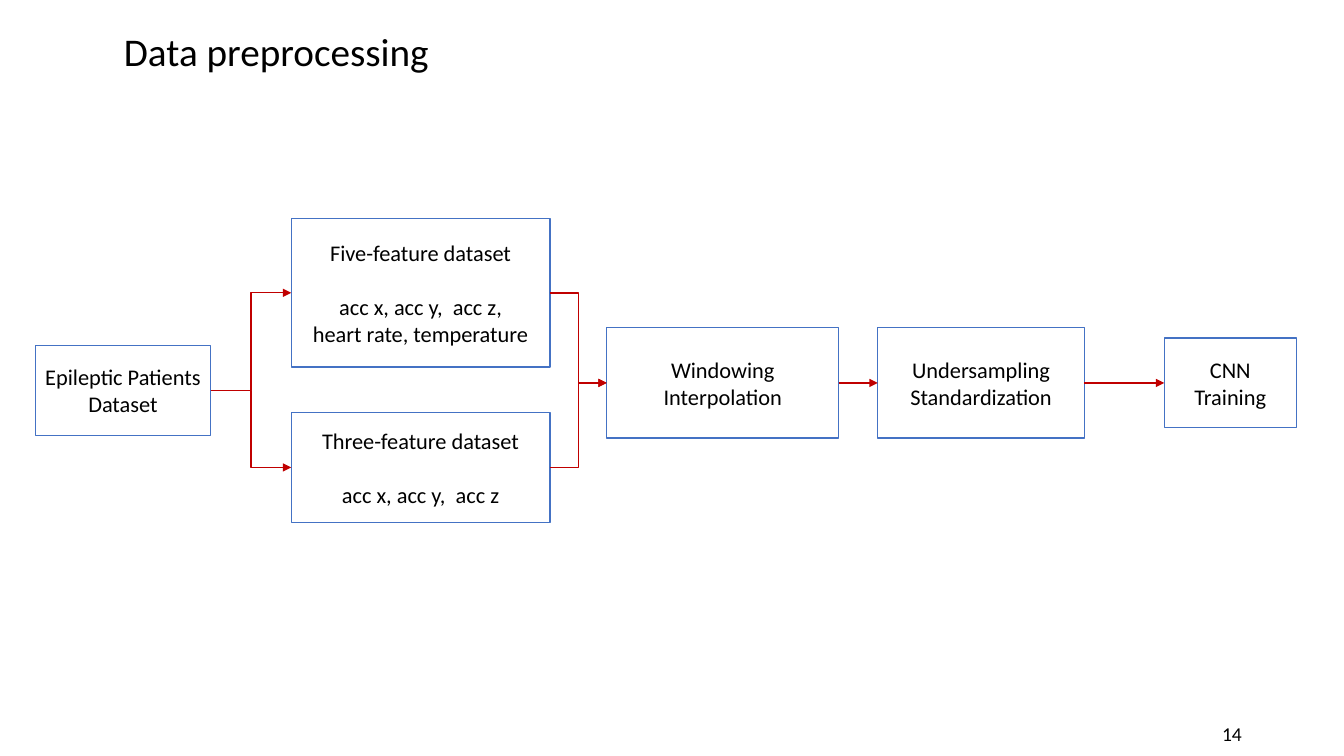
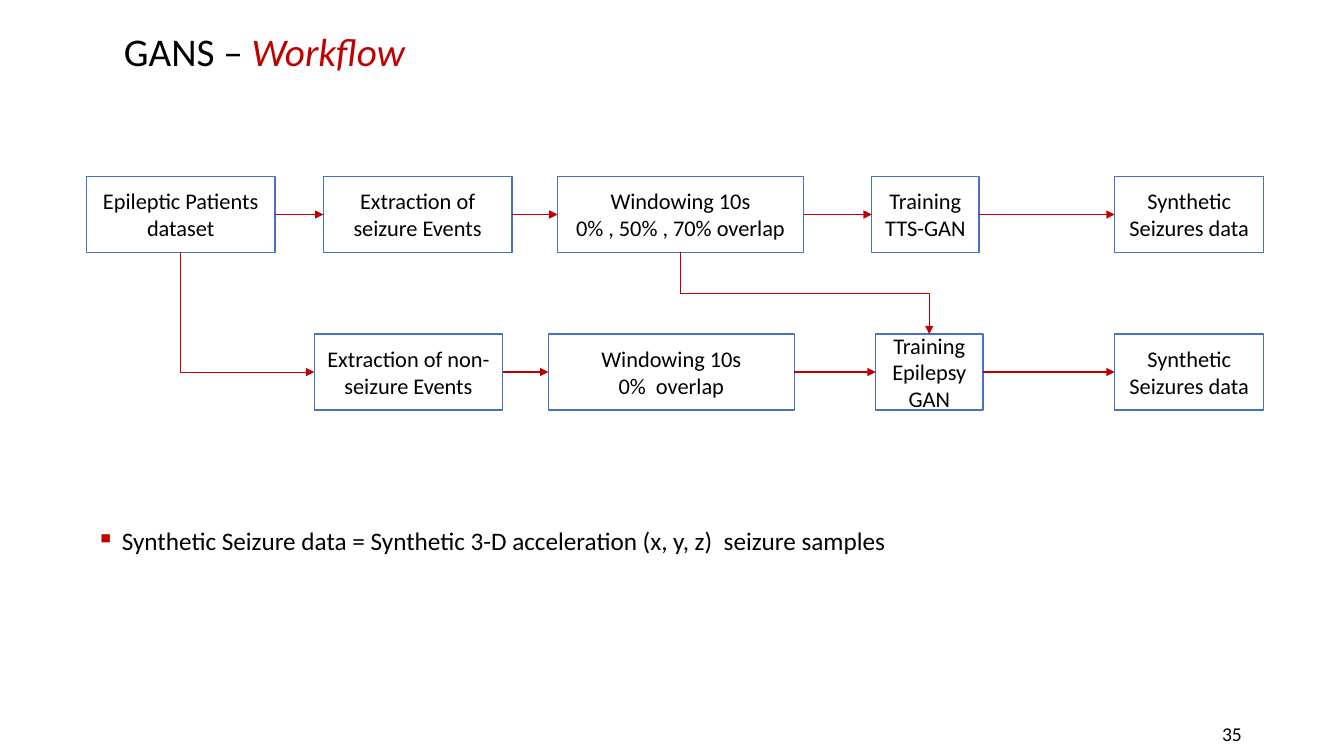
from lxml.etree import SubElement
from pptx import Presentation
from pptx.dml.color import RGBColor
from pptx.enum.shapes import MSO_CONNECTOR as Route, MSO_SHAPE as Preset
from pptx.enum.text import MSO_ANCHOR as Anchor, MSO_AUTO_SIZE as AutoSize, PP_ALIGN as Align
from pptx.oxml.ns import qn
from pptx.util import Cm, Pt

FONT = "Calibri"
BLACK, WHITE, BLUE, RED = "000000", "FFFFFF", "4472C4", "C00000"
TOP, LEFT, BOTTOM, RIGHT = range(4)  # connection sites of a rectangle
color = RGBColor.from_string


def write(frame, text, size, align, anchor=Anchor.MIDDLE):
    """Fill a text frame and give all its runs the deck's font."""
    frame.text = text
    frame.word_wrap = True
    frame.auto_size = AutoSize.NONE
    frame.vertical_anchor = anchor
    for para in frame.paragraphs:
        para.alignment = align
        for span in para.runs:
            span.font.name = FONT
            span.font.size = Pt(size)
            span.font.color.rgb = color(BLACK)


def link(page, start, start_side, end, end_side, kind="line"):
    """Glue a red arrow between two boxes; corner and step leave vertically."""
    route = Route.STRAIGHT if kind == "line" else Route.ELBOW
    arrow = page.shapes.add_connector(route, 0, 0, 0, 0)
    arrow.begin_connect(start, start_side)
    arrow.end_connect(end, end_side)
    arrow.line.color.rgb = color(RED)
    arrow.line.width = Pt(1)
    properties = arrow._element.spPr
    SubElement(arrow.line._get_or_add_ln(), qn("a:tailEnd"), type="triangle")
    SubElement(properties, qn("a:effectLst"))
    if kind in ("corner", "step"):
        arrow.line.width = Pt(0.5)
        width, height = arrow.width, arrow.height
        arrow.left += (width - height) // 2
        arrow.top += (height - width) // 2
        arrow.width, arrow.height = height, width
        frame = properties.find(qn("a:xfrm"))
        frame.set("rot", str(270 * 60000))
        frame.set("flipH", "1")
        if kind == "corner":
            properties.find(qn("a:prstGeom")).set("prst", "bentConnector2")


# Boxes: left, top, width, height in cm, then the text
preprocessing_boxes = {
    "patients": (0.89, 8.71, 4.42, 2.26, "Epileptic Patients Dataset"),
    "five": (7.34, 5.51, 6.52, 3.74,
             "Five-feature dataset\nacc x, acc y,  acc z,\nheart rate, temperature"),
    "three": (7.34, 10.39, 6.52, 2.78, "Three-feature dataset\nacc x, acc y,  acc z"),
    "windowing": (15.29, 8.26, 5.85, 2.78, "Windowing Interpolation"),
    "sampling": (22.12, 8.26, 5.21, 2.78, "Undersampling Standardization"),
    "training": (29.34, 8.52, 3.33, 2.26, "CNN Training"),
}
preprocessing_links = [
    ("patients", RIGHT, "five", LEFT, "elbow"),
    ("patients", RIGHT, "three", LEFT, "elbow"),
    ("five", RIGHT, "windowing", LEFT, "elbow"),
    ("three", RIGHT, "windowing", LEFT, "elbow"),
    ("windowing", RIGHT, "sampling", LEFT),
    ("sampling", RIGHT, "training", LEFT),
]

widths = {"patients": 4.75, "events": 4.75, "windows": 6.2, "gan": 2.7, "synthetic": 3.76}
workflow_rows = [
    ("seizure", 4.45, [
        ("patients", 2.18, "Epileptic Patients dataset"),
        ("events", 8.15, "Extraction of seizure Events"),
        ("windows", 14.05, "Windowing 10s\n0% , 50% , 70% overlap"),
        ("gan", 21.97, "Training\nTTS-GAN"),
        ("synthetic", 28.09, "Synthetic Seizures data"),
    ]),
    ("other", 8.42, [
        ("events", 7.92, "Extraction of non-seizure Events"),
        ("windows", 13.82, "Windowing 10s\n0%  overlap"),
        ("gan", 22.07, "Training\nEpilepsyGAN"),
        ("synthetic", 28.09, "Synthetic Seizures data"),
    ]),
]
workflow_boxes, workflow_links = {}, []
for row, top, steps in workflow_rows:
    for step, left, text in steps:
        workflow_boxes[row, step] = (left, top, widths[step], 1.91, text)
    for (step, *_), (following, *_) in zip(steps, steps[1:]):
        workflow_links.append(((row, step), RIGHT, (row, following), LEFT))
workflow_links += [
    (("seizure", "patients"), BOTTOM, ("other", "events"), LEFT, "corner"),
    (("seizure", "windows"), BOTTOM, ("other", "gan"), TOP, "step"),
]

deck = Presentation()
deck.slide_width, deck.slide_height = Cm(33.87), Cm(19.05)

for title_text, accent, number, boxes, links in [
    ("Data preprocessing", "", "14", preprocessing_boxes, preprocessing_links),
    ("GANS – ", "Workflow", "35", workflow_boxes, workflow_links),
]:
    page = deck.slides.add_slide(deck.slide_layouts[5])
    title = page.shapes.title
    title.left, title.top, title.width, title.height = Cm(2.87), Cm(0.25), Cm(29.2), Cm(2.2)
    write(title.text_frame, title_text, 28, Align.LEFT)
    para = title.text_frame.paragraphs[0]
    para.line_spacing = 0.9
    if accent:
        span = para.add_run()
        span.text = accent
        span.font.name = FONT
        span.font.size = Pt(28)
        span.font.italic = True
        span.font.color.rgb = color(RED)

    drawn = {}
    for name, (left, top, width, height, text) in boxes.items():
        box = page.shapes.add_shape(Preset.RECTANGLE, Cm(left), Cm(top), Cm(width), Cm(height))
        box.shadow.inherit = False
        box.fill.solid()
        box.fill.fore_color.rgb = color(WHITE)
        box.line.color.rgb = color(BLUE)
        box.line.width = Pt(1)
        write(box.text_frame, text, 16, Align.CENTER)
        drawn[name] = box
    for start, start_side, end, end_side, *kind in links:
        link(page, drawn[start], start_side, drawn[end], end_side, *kind)
    for name in ("five", "three"):
        if name in drawn:
            drawn[name].text_frame.paragraphs[1].space_before = Pt(19.5)

    page_number = page.shapes.add_textbox(Cm(23.93), Cm(17.98), Cm(7.62), Cm(1.02))
    write(page_number.text_frame, number, 14, Align.RIGHT)

note = page.shapes.add_textbox(Cm(2.18), Cm(13.21), Cm(29.2), Cm(2.87))
write(note.text_frame,
      "Synthetic Seizure data = Synthetic 3-D acceleration (x, y, z)  seizure samples",
      18, Align.LEFT, Anchor.TOP)
para = note.text_frame.paragraphs[0]
settings = para._p.get_or_add_pPr()
settings.set("marL", str(Cm(0.64)))
settings.set("indent", str(-Cm(0.64)))
SubElement(SubElement(settings, qn("a:buClr")), qn("a:srgbClr"), val=RED)
SubElement(settings, qn("a:buChar"), char="▪")
para.line_spacing = 0.9

deck.save("out.pptx")
